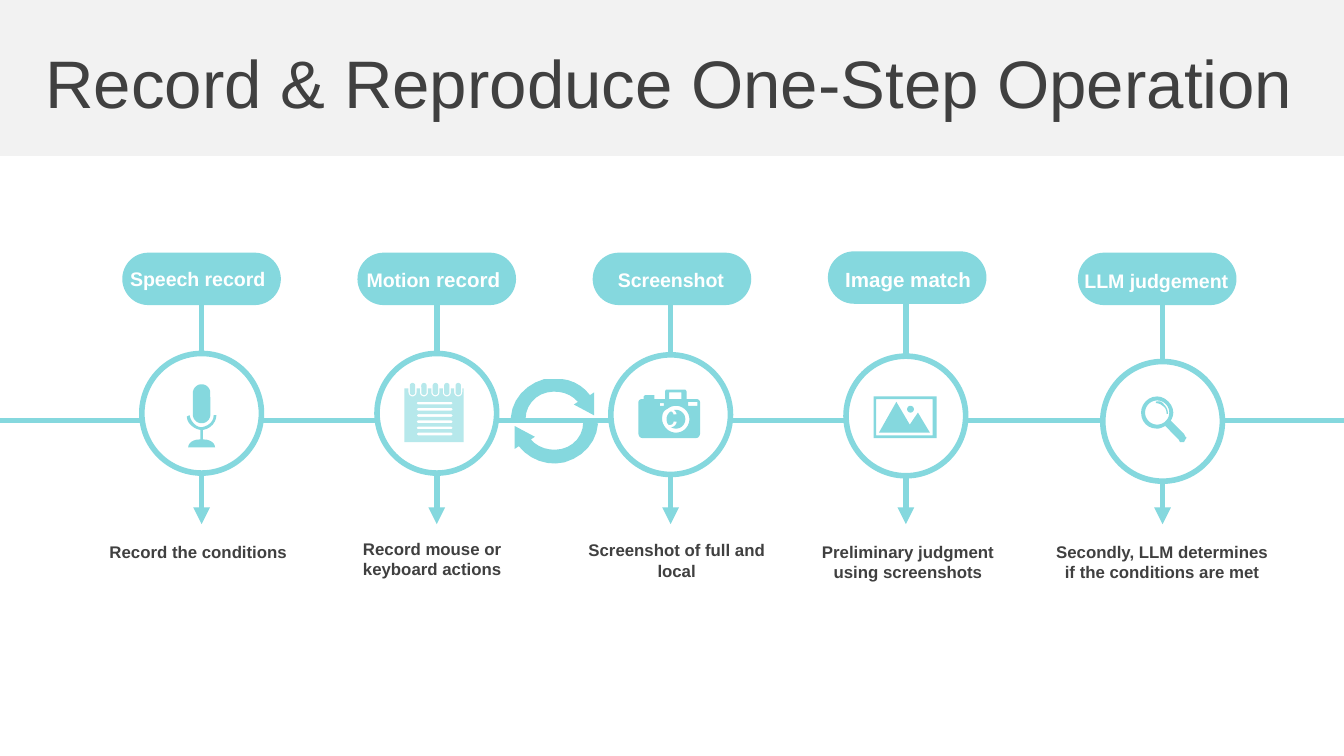
import math

from lxml import etree
from pptx import Presentation
from pptx.dml.color import RGBColor
from pptx.enum import shapes, text
from pptx.oxml import ns
from pptx.util import Inches, Pt

TEAL = RGBColor(0x85, 0xD8, 0xDE)
PALE_TEAL = RGBColor(0xB6, 0xE8, 0xEB)
GRAY = RGBColor(0xF2, 0xF2, 0xF2)
DARK = RGBColor(0x40, 0x40, 0x40)
WHITE = RGBColor(0xFF, 0xFF, 0xFF)


def trace(path):
    """Turn M, L and C commands, in inches, into a list of points."""
    points = []
    for command in path.replace("M", "|M").replace("L", "|L").replace("C", "|C").split("|")[1:]:
        numbers = [float(n) for n in command[1:].split()]
        pairs = list(zip(numbers[::2], numbers[1::2]))
        if command[0] != "C":
            points += pairs
            continue
        for i in range(0, len(pairs), 3):
            curve = [points[-1]] + pairs[i:i + 3]
            for t in (0.17, 0.33, 0.5, 0.67, 0.83, 1):
                weights = ((1 - t) ** 3, 3 * t * (1 - t) ** 2, 3 * t * t * (1 - t), t ** 3)
                points.append(tuple(sum(w * p[axis] for w, p in zip(weights, curve))
                                    for axis in (0, 1)))
    return points


def oval(x, y, radius, stretch=0):
    """Points of a circle, pulled up and down into a capsule by stretch."""
    angles = [math.radians(a) for a in range(0, 360, 10)]
    return [(x + radius * math.cos(a),
             y + radius * math.sin(a) + (stretch if a < math.pi else -stretch)) for a in angles]


deck = Presentation()
deck.slide_width = Inches(10)
deck.slide_height = deck.slide_width * 9 // 16
page = deck.slides.add_slide(deck.slide_layouts[5])

# Banner and title
title = page.shapes.title
banner = page.shapes.add_shape(shapes.MSO_SHAPE.RECTANGLE, 0, 0, Inches(10), Inches(1.16))
banner.shadow.inherit = False
banner.fill.solid()
banner.fill.fore_color.rgb = GRAY
banner.line.fill.background()
title.element.addprevious(banner.element)
title.left, title.top = Inches(-0.02), Inches(0.29)
title.width, title.height = Inches(10), Inches(0.63)
title.text_frame.text = "Record & Reproduce One-Step Operation"
title.text_frame.vertical_anchor = text.MSO_ANCHOR.MIDDLE
title.text_frame.auto_size = text.MSO_AUTO_SIZE.NONE
para = title.text_frame.paragraphs[0]
para.alignment = text.PP_ALIGN.CENTER
for name, value in {"name": "Arial", "size": Pt(36), "bold": False}.items():
    setattr(para.runs[0].font, name, value)
para.runs[0].font.color.rgb = DARK

# Axis x, pill (left, top), label box and runs, circle top, caption box and wording
steps = [
    (1.5, (0.91, 1.88), (0.87, 1.93, 1.23, 0.28), [("Speech record", 10.5)],
     2.63, (0.71, 3.98, 1.53, 0.25), "Record the conditions"),
    (3.25, (2.66, 1.88), (2.63, 1.93, 1.2, 0.29), [("Motion", 10.5), (" record", 11)],
     2.63, (2.45, 3.96, 1.53, 0.4), "Record mouse or keyboard actions"),
    (4.99, (4.41, 1.88), (4.5, 1.94, 1, 0.28), [("Screenshot", 10.5)],
     2.64, (4.27, 3.97, 1.53, 0.4), "Screenshot of full and local"),
    (6.74, (6.16, 1.87), (6.19, 1.93, 1.14, 0.29), [("Image match", 11)],
     2.65, (5.99, 3.98, 1.53, 0.4), "Preliminary judgment using screenshots"),
    (8.65, (8.02, 1.88), (7.97, 1.95, 1.29, 0.28), [("LLM judgement", 10.5)],
     2.69, (7.72, 3.98, 1.85, 0.4), "Secondly, LLM determines if the conditions are met"),
]

# Step arrows and the timeline
lines = [(step[0], 2.25, step[0], 3.9, True) for step in steps] + [(0, 3.13, 10, 3.13, False)]
for x1, y1, x2, y2, has_arrow in lines:
    line = page.shapes.add_connector(shapes.MSO_CONNECTOR.STRAIGHT,
                                     Inches(x1), Inches(y1), Inches(x2), Inches(y2))
    line.line.color.rgb = TEAL
    line.line.width = Pt(3)
    properties = line.element.spPr
    if has_arrow:
        etree.SubElement(properties.find(ns.qn("a:ln")), ns.qn("a:tailEnd"), type="triangle")
    etree.SubElement(properties, ns.qn("a:effectLst"))

# Pills, circles, labels and captions
for x, pill_corner, label_area, label, circle_top, caption_area, caption in steps:
    for kind, area, fill in (
            (shapes.MSO_SHAPE.ROUNDED_RECTANGLE, (*pill_corner, 1.18, 0.39), TEAL),
            (shapes.MSO_SHAPE.OVAL, (x - 0.445, circle_top, 0.89, 0.89), WHITE)):
        shape = page.shapes.add_shape(kind, *map(Inches, area))
        shape.shadow.inherit = False
        shape.fill.solid()
        shape.fill.fore_color.rgb = fill
        if fill == TEAL:
            shape.adjustments[0] = 0.5
            shape.line.fill.background()
        else:
            shape.line.color.rgb = TEAL
            shape.line.width = Pt(3)
    for area, spans, color, wrap, alignment in (
            (label_area, label, WHITE, False, text.PP_ALIGN.LEFT),
            (caption_area, [(caption, 9)], DARK, True, text.PP_ALIGN.CENTER)):
        box = page.shapes.add_textbox(*map(Inches, area))
        for name, value in {"word_wrap": wrap, "vertical_anchor": text.MSO_ANCHOR.MIDDLE,
                            "auto_size": text.MSO_AUTO_SIZE.SHAPE_TO_FIT_TEXT}.items():
            setattr(box.text_frame, name, value)
        para = box.text_frame.paragraphs[0]
        para.alignment = alignment
        for wording, size in spans:
            span = para.add_run()
            span.text = wording
            for name, value in {"name": "Arial", "size": Pt(size), "bold": True}.items():
                setattr(span.font, name, value)
            span.font.color.rgb = color

# Icons: each is a list of closed outlines, where inner outlines cut holes
microphone = [
    trace("M1.61 3.09 C1.61 3.14 1.57 3.19 1.51 3.2 L1.51 3.27 C1.57 3.27 1.6 3.3 1.6 3.33"
          "L1.4 3.33 C1.4 3.3 1.43 3.27 1.49 3.27 L1.49 3.2 C1.44 3.19 1.39 3.15 1.39 3.1"
          "L1.41 3.09 C1.42 3.14 1.46 3.18 1.5 3.18 C1.55 3.17 1.59 3.14 1.59 3.09"),
    oval(1.5, 3.005, 0.065, 0.08),
]

ring_centers = [3.07 + 0.085 * i for i in range(5)]
pad = [(3.01, 2.89)]
for x in ring_centers:
    pad += [(x - 0.03, 2.89)]
    pad += [(x - 0.03 * math.cos(math.radians(a)), 2.92 + 0.03 * math.sin(math.radians(a)))
            for a in range(0, 181, 15)]
    pad += [(x + 0.03, 2.89)]
notepad = [pad + [(3.45, 2.89), (3.45, 3.29), (3.01, 3.29)]]
notepad += [oval(x, 2.895, 0.02, 0.025) for x in ring_centers]
for row in range(6):
    y = 2.99 + 0.046 * row
    notepad.append([(3.11, y), (3.36, y), (3.37, y + 0.01), (3.36, y + 0.02),
                    (3.11, y + 0.02), (3.1, y + 0.01)])

camera = [
    oval(5.03, 3.12, 0.07), oval(5.03, 3.12, 0.1),
    trace("M4.91 3 L4.91 3.02 4.94 3.02 4.94 3"),
    trace("M5.12 2.99 L5.12 3.02 5.19 3.02 5.19 2.99"),
    trace("M4.98 2.92 L4.98 2.97 5.07 2.97 5.07 2.92"),
    trace("M4.96 2.9 L5.1 2.9 C5.1 2.9 5.11 2.91 5.11 2.92 L5.11 2.97 5.18 2.97"
          "C5.2 2.97 5.21 2.98 5.21 3 L5.21 3.22 C5.21 3.24 5.2 3.26 5.18 3.26"
          "L4.78 3.26 C4.76 3.26 4.75 3.24 4.75 3.22 L4.75 3 C4.75 2.98 4.76 2.97 4.78 2.97"
          "L4.79 2.97 4.79 2.95 4.8 2.94 4.87 2.94 4.87 2.97 4.95 2.97 4.95 2.92"
          "C4.95 2.91 4.95 2.9 4.96 2.9"),
]

landscape = [
    oval(6.775, 3.045, 0.025),
    trace("M6.67 2.99 L6.77 3.16 6.83 3.07 6.92 3.22 6.54 3.22"),
    trace("M6.52 2.97 L6.52 3.24 6.94 3.24 6.94 2.97"),
    trace("M6.5 2.95 L6.97 2.95 6.97 3.26 6.5 3.26"),
]

magnifier = [
    trace("M8.81 3.23 L8.82 3.25 C8.83 3.25 8.83 3.26 8.82 3.27 L8.81 3.29"
          "C8.8 3.29 8.79 3.29 8.78 3.29 L8.77 3.27"),
    trace("M8.6 2.99 C8.62 2.98 8.65 2.99 8.66 3.01 C8.68 3.03 8.69 3.05 8.69 3.08"
          "L8.68 3.08 C8.68 3.05 8.67 3.03 8.65 3.02 C8.64 3.01 8.62 3 8.6 3"),
    oval(8.61, 3.07, 0.09),
    trace("M8.61 2.95 C8.67 2.95 8.73 3.01 8.73 3.07 C8.73 3.09 8.72 3.12 8.71 3.13"
          "L8.81 3.23 8.77 3.27 8.67 3.17 C8.65 3.18 8.63 3.19 8.61 3.19"
          "C8.54 3.19 8.49 3.14 8.49 3.07 C8.49 3.01 8.54 2.95 8.61 2.95"),
]

repeat_arrows = [
    trace("M4.34 3.14 L4.45 3.15 C4.44 3.29 4.34 3.4 4.2 3.44 C4.07 3.47 3.94 3.42 3.86 3.32"
          "L3.83 3.34 3.83 3.17 3.98 3.25 3.95 3.27 C4 3.33 4.09 3.36 4.18 3.34"
          "C4.27 3.32 4.34 3.24 4.34 3.14"),
    trace("M4.13 2.82 C4.23 2.81 4.33 2.86 4.39 2.94 L4.42 2.92 4.42 3.09 4.27 3.01 4.3 2.99"
          "C4.25 2.93 4.16 2.9 4.07 2.92 C3.98 2.94 3.91 3.02 3.91 3.12 L3.8 3.11"
          "C3.81 2.97 3.91 2.86 4.05 2.82 C4.07 2.82 4.1 2.82 4.13 2.82"),
]

for outlines in (microphone, notepad, camera, landscape, magnifier, repeat_arrows):
    contours = [[(Inches(x), Inches(y)) for x, y in outline] for outline in outlines]
    builder = page.shapes.build_freeform(*contours[0][0])
    for contour in contours:
        builder.move_to(*contour[0])
        builder.add_line_segments(contour[1:], close=True)
    icon = builder.convert_to_shape()
    icon.shadow.inherit = False
    icon.fill.solid()
    icon.fill.fore_color.rgb = PALE_TEAL if outlines is notepad else TEAL
    icon.line.fill.background()
    if outlines is camera:
        icon.text_frame.text = "c"
        icon.text_frame.vertical_anchor = text.MSO_ANCHOR.MIDDLE
        para = icon.text_frame.paragraphs[0]
        para.alignment = text.PP_ALIGN.CENTER
        for name, value in {"name": "Arial", "size": Pt(18)}.items():
            setattr(para.runs[0].font, name, value)
        para.runs[0].font.color.rgb = WHITE

deck.save("out.pptx")
